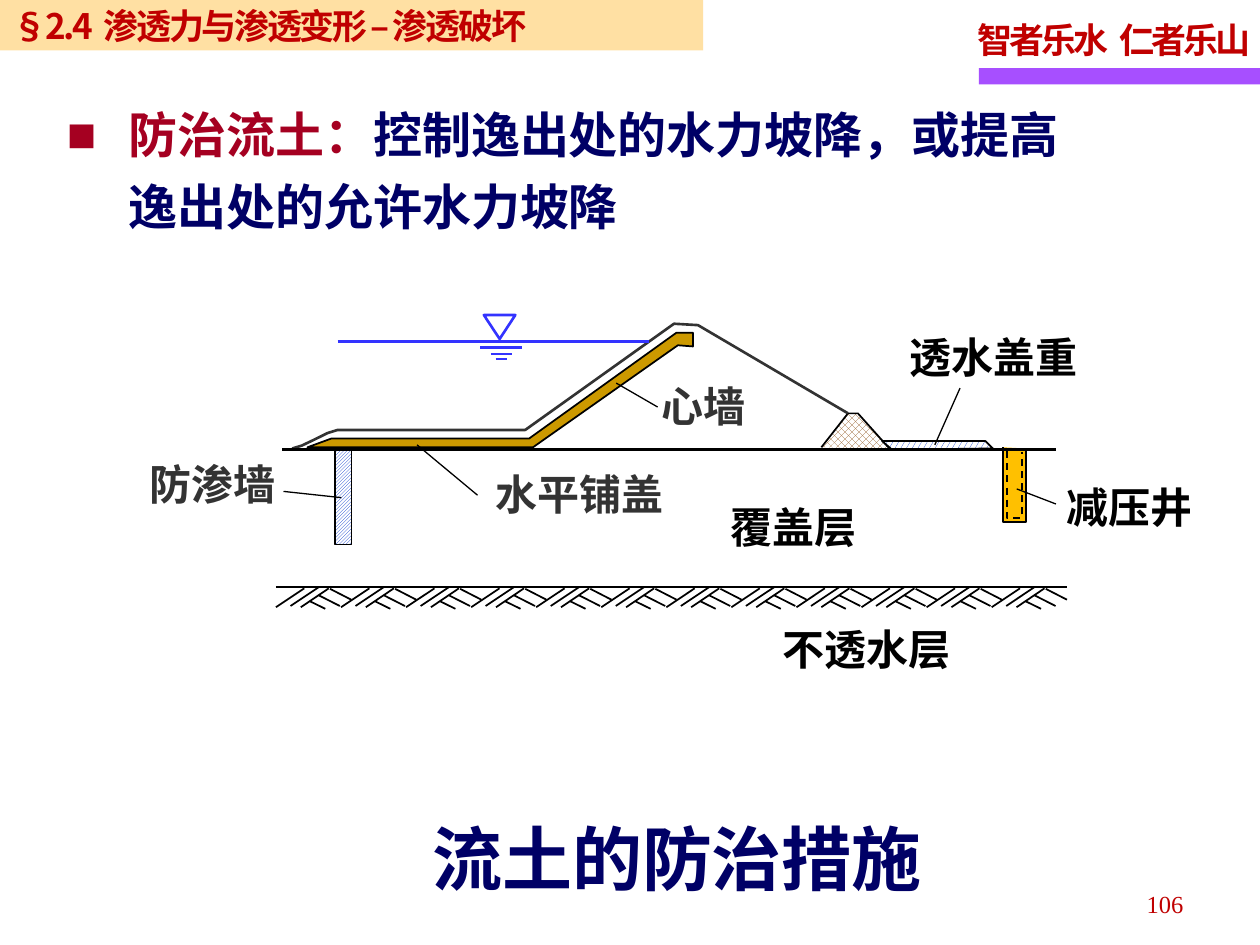
from dataclasses import dataclass

from lxml import etree
from pptx import Presentation
from pptx.dml.color import RGBColor
from pptx.enum.dml import MSO_LINE, MSO_PATTERN as Pattern
from pptx.enum.shapes import MSO_CONNECTOR, MSO_SHAPE as Shape
from pptx.enum.text import MSO_ANCHOR as Anchor, MSO_AUTO_SIZE as AutoSize, PP_ALIGN as Align
from pptx.oxml.ns import qn
from pptx.util import Pt


@dataclass(frozen=True)
class Theme:
    """Colours, fonts and type sizes of the slide."""
    red: str = "C00000"
    crimson: str = "A50021"
    navy: str = "000066"
    black: str = "000000"
    gray: str = "333333"
    white: str = "FFFFFF"
    purple: str = "A74FFF"
    sand: str = "FFCC66"
    water: str = "3333FF"
    hatch: str = "0033CC"
    rock: str = "996633"
    clay: str = "CC9900"
    amber: str = "FFC000"
    sans: str = "Noto Sans CJK SC"
    serif: str = "Times New Roman"
    plain: str = "Arial"
    caption: int = 40
    body: int = 28
    label: int = 24
    header: int = 20
    number: int = 14


THEME = Theme()


def rgb(value):
    """Turn a hex string into a colour."""
    return RGBColor.from_string(value)


def add_run(paragraph, text, font, size, color, bold=True, spacing=None):
    """Add one formatted run, with letter spacing in points."""
    run = paragraph.add_run()
    run.text = text
    run.font.name, run.font.size, run.font.bold = font, Pt(size), bold
    run.font.color.rgb = rgb(color)
    if spacing is not None:
        run.font._element.set("spc", str(round(spacing * 100)))


def set_frame(frame, anchor=Anchor.MIDDLE, side=7.2, wrap=True):
    """Set anchor, margins and wrapping, and return the first paragraph."""
    frame.auto_size, frame.word_wrap, frame.vertical_anchor = AutoSize.NONE, wrap, anchor
    frame.margin_left = frame.margin_right = Pt(side)
    frame.margin_top = frame.margin_bottom = Pt(3.6)
    return frame.paragraphs[0]


def move(shape, box):
    """Put a shape into a box of points."""
    shape.left, shape.top, shape.width, shape.height = map(Pt, box)


def style(shape, fill=None, line=None, width=1, pattern=None):
    """Set fill and outline of a shape without shadow."""
    shape.shadow.inherit = False
    if pattern is not None:
        shape.fill.patterned()
        shape.fill.pattern = pattern
        shape.fill.fore_color.rgb, shape.fill.back_color.rgb = rgb(fill), rgb(THEME.white)
    elif fill:
        shape.fill.solid()
        shape.fill.fore_color.rgb = rgb(fill)
    else:
        shape.fill.background()
    if line:
        shape.line.color.rgb, shape.line.width = rgb(line), Pt(width)
    else:
        shape.line.fill.background()
    return shape


def add_block(slide, kind, box, **look):
    """Add a styled preset shape."""
    return style(slide.shapes.add_shape(kind, *map(Pt, box)), **look)


def add_line(slide, origin, ends, color=THEME.black, width=1.0):
    """Draw a straight line given relative to an origin."""
    x, y = origin
    x1, y1, x2, y2 = ends
    line = slide.shapes.add_connector(
        MSO_CONNECTOR.STRAIGHT, Pt(x + x1), Pt(y + y1), Pt(x + x2), Pt(y + y2))
    line.line.color.rgb, line.line.width = rgb(color), Pt(width)
    etree.SubElement(line._element.spPr, qn("a:effectLst"))


def add_outline(slide, origin, points, close=False, line=THEME.black, **look):
    """Draw a polygon or open polyline given relative to an origin."""
    x, y = origin
    first, *rest = [(Pt(x + px), Pt(y + py)) for px, py in points]
    builder = slide.shapes.build_freeform(*first, scale=1.0)
    builder.add_line_segments(rest, close=close)
    return style(builder.convert_to_shape(), line=line, **look)


def add_header(slide, box):
    """Place the section bar, the motto and its underline across the top."""
    x, y, width, _ = box
    bar = add_block(slide, Shape.RECTANGLE, (x, y, 401.8, 28.8), fill=THEME.sand)
    color = bar.fill._xPr.find(qn("a:solidFill"))[0]
    etree.SubElement(color, qn("a:alpha"), val="60000")
    section = set_frame(bar.text_frame)
    section.alignment = Align.LEFT
    for text, gap in (("§2.4", -1.4), (" ", 1.7), ("渗透力与渗透变形 – 渗透破坏", -1.4)):
        add_run(section, text, THEME.sans, THEME.header, THEME.red, spacing=gap)
    add_block(slide, Shape.RECTANGLE, (x + width - 160.6, y + 38.9, 160.6, 9.4), fill=THEME.purple)
    motto_box = slide.shapes.add_textbox(*map(Pt, (x + width - 168.5, y + 5, 170, 35.3)))
    motto = set_frame(motto_box.text_frame, wrap=False)
    for text, gap in (("智者乐水", -1.7), (" ", 1.6), ("仁者乐山", -1.7)):
        add_run(motto, text, THEME.serif, THEME.header, THEME.red, spacing=gap)


def add_statement(body, box):
    """Fill the body placeholder with the bulleted statement."""
    move(body, box)
    statement = set_frame(body.text_frame, Anchor.TOP)
    props = statement._p.get_or_add_pPr()
    props.set("marL", str(Pt(35.3)))
    props.set("indent", str(-Pt(35.3)))
    etree.SubElement(props, qn("a:buChar"), char="■")
    statement.line_spacing, statement.space_before = Pt(41), Pt(0)
    add_run(statement, "防治流土：", THEME.sans, THEME.body, THEME.crimson)
    add_run(statement, "控制逸出处的水力坡降，或提高逸出处的允许水力坡降", THEME.sans, THEME.body, THEME.navy)


def add_caption(title, box):
    """Fill the title placeholder with the caption of the drawing."""
    move(title, box)
    caption = set_frame(title.text_frame, side=0)
    caption.alignment = Align.LEFT
    add_run(caption, "流土的防治措施", THEME.sans, THEME.caption, THEME.navy)


def add_page_number(slide, box):
    """Place the page number."""
    number = set_frame(slide.shapes.add_textbox(*map(Pt, box)).text_frame)
    number.alignment = Align.RIGHT
    add_run(number, "106", THEME.serif, THEME.number, THEME.red, bold=False)


def add_bedrock(slide, origin):
    """Draw the hatched top of the impervious layer."""
    x, y = origin
    strokes = [(16.2, 0.7, 0, 11.5), (30.2, 0.7, 14.2, 11.5), (24.5, 0, 8.3, 10.8),
               (24.5, 4.7, 36.5, 10.8), (19.2, 8, 28.2, 12.4), (30.9, 1, 43, 7.2)]
    for unit in range(12):
        for stroke in strokes:
            add_line(slide, (x + unit * 37.18, y), stroke)
    add_line(slide, origin, (0, 0, 452.1, 0), width=1.5)


def add_water_level(slide, origin):
    """Draw the reservoir level with its symbol."""
    x, y = origin
    add_line(slide, origin, (121, 15.1, 298.8, 15.1), THEME.water, 1.5)
    for width, depth in ((24, 18.7), (12, 22.3), (6.5, 25.2)):
        add_line(slide, origin, (214.5 - width / 2, depth, 214.5 + width / 2, depth), THEME.water, 1.5)
    mark = add_block(slide, Shape.ISOSCELES_TRIANGLE, (x + 204.5, y, 18, 13.7),
                     fill=THEME.white, line=THEME.water, width=1.5)
    mark.rotation = 180


def add_dam_section(slide, box):
    """Draw the dam on its foundation with the seepage measures and labels."""
    x, y, _, _ = origin_box = box
    origin = origin_box[:2]
    add_block(slide, Shape.RECTANGLE, (x + 119.5, y + 74.9, 9.4, 56.2), fill=THEME.hatch,
              line=THEME.black, pattern=Pattern.DARK_UPWARD_DIAGONAL)
    add_bedrock(slide, (x + 85.7, y + 155.5))
    add_outline(slide, origin, [(397.4, 75.6), (412.6, 56.2), (418.3, 56.2), (436.3, 76.3)],
                fill=THEME.rock, pattern=Pattern.SOLID_DIAMOND)
    add_outline(slide, origin, [(95, 76.3), (100.4, 74.7), (107.7, 71.2), (115.2, 67.5), (121, 65.7),
                                (228.2, 65.7), (313.2, 5), (326.9, 5.8), (412.6, 56.2)],
                line=THEME.gray, width=1.5)
    add_water_level(slide, origin)
    add_outline(slide, origin, [(437.8, 77), (432, 72), (491, 72), (495.4, 76.3)], close=True,
                fill=THEME.hatch, pattern=Pattern.LARGE_CONFETTI)
    add_outline(slide, origin, [(501.1, 75.6), (501.1, 118.1), (514.1, 118.1), (514.1, 76.3)],
                fill=THEME.amber)
    lining = add_outline(slide, origin, [(503.3, 77.8), (503.3, 115.9), (511.9, 115.9), (511.9, 78.5)])
    lining.line.dash_style = MSO_LINE.DASH
    add_outline(slide, origin, [(324, 18), (324, 10.1), (314.6, 10.1), (230.4, 70.6), (117.4, 70.6),
                                (103.7, 75.6), (232.6, 75.6), (315.4, 17.3)], close=True, fill=THEME.clay)
    add_line(slide, origin, (89.3, 77, 531.4, 77), width=1.5)
    inner = (THEME.serif, THEME.gray, Align.LEFT, 7.2)
    outer = (THEME.plain, THEME.black, Align.CENTER, 0)
    labels = [("覆盖层", 341.3, 103, 80.6, outer, None),
              ("不透水层", 373, 172.8, 100, outer, None),
              ("心墙", 298.8, 33.8, 113.8, inner, (303.8, 52.6, 280.1, 38.9)),
              ("水平铺盖", 203.8, 84.2, 113.8, inner, (200.9, 103, 166.3, 74.2)),
              ("防渗墙", 6.5, 78.5, 90, (THEME.sans, *inner[1:]), (123.1, 104.4, 90, 100.8)),
              ("透水盖重", 446.4, 5.8, 98.6, outer, (462.2, 74.2, 476.6, 41.8)),
              ("减压井", 524.2, 91.4, 98.6, outer, (509, 99.4, 531.4, 108))]
    for text, left, top, width, (font, color, align, side), leader in labels:
        label_box = slide.shapes.add_textbox(Pt(x + left), Pt(y + top), Pt(width), Pt(36))
        label = set_frame(label_box.text_frame, side=side)
        label.alignment = align
        add_run(label, text, font, THEME.label, color)
        if leader:
            add_line(slide, origin, leader, width=0.75)


def main():
    """Build and save the slide."""
    deck = Presentation()
    deck.slide_width, deck.slide_height = Pt(720), Pt(540)
    slide = deck.slides.add_slide(deck.slide_layouts[1])
    add_header(slide, (0, 0, 720, 48.3))
    add_caption(slide.shapes.title, (247, 465.8, 386, 48.2))
    add_statement(slide.placeholders[1], (31, 49, 584, 88.6))
    add_page_number(slide, (515.5, 501.8, 167.8, 28.8))
    add_dam_section(slide, (72, 180, 551, 209))
    deck.save("out.pptx")


if __name__ == "__main__":
    main()
